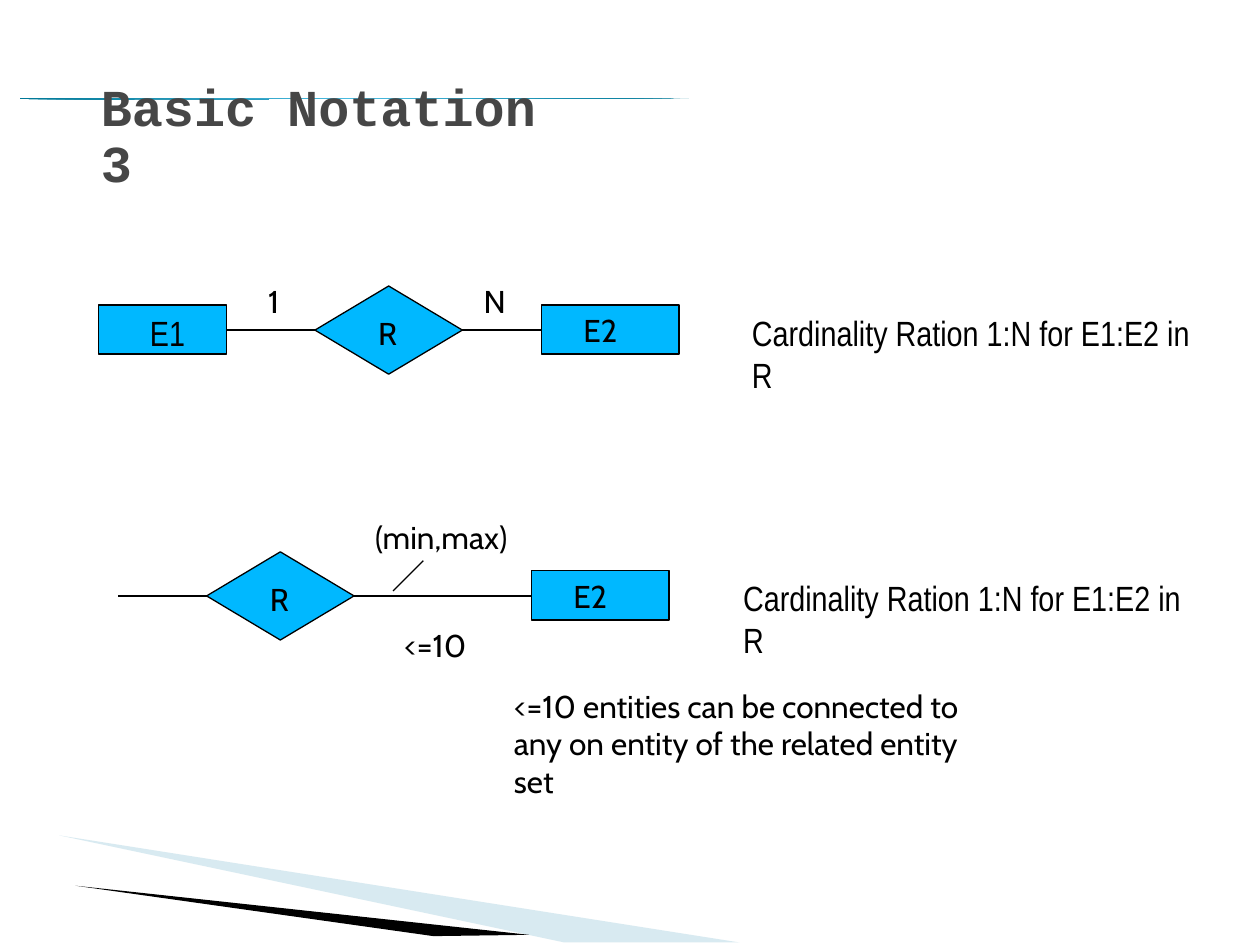
from copy import deepcopy

from lxml import etree
from pptx import Presentation
from pptx import util as u
from pptx.dml.color import RGBColor
from pptx.enum import shapes, text
from pptx.oxml import ns

BLACK = "000000"


def color(value):
    """Turn a hex string into a colour."""
    return RGBColor.from_string(value)


def write(shape, content, font="Cabin", size=18, fill=BLACK, bold=False, wrap=True,
          left=0.1, right=0.1, anchor=text.MSO_ANCHOR.TOP,
          fit=text.MSO_AUTO_SIZE.NONE, line_spacing=None):
    """Put one formatted paragraph into a shape."""
    frame = shape.text_frame
    frame.word_wrap = wrap
    frame.auto_size = fit
    frame.vertical_anchor = anchor
    frame.margin_left, frame.margin_right = u.Inches(left), u.Inches(right)
    frame.margin_top = frame.margin_bottom = u.Inches(0.05)
    paragraph = frame.paragraphs[0]
    paragraph.alignment = text.PP_ALIGN.LEFT
    paragraph.line_spacing = line_spacing
    run = paragraph.add_run()
    run.text = content
    run.font.name, run.font.size, run.font.bold = font, u.Pt(size), bold
    run.font.color.rgb = color(fill)


class NotationSlide:
    """Hold the diagram style and draw its elements on one slide."""

    node_fill = "00B8FF"
    line_width = u.Pt(0.75)
    narrow = {"font": "Arial Narrow", "size": 20}

    def __init__(self, presentation):
        """Add a title-only slide."""
        self.slide = presentation.slides.add_slide(presentation.slide_layouts[5])
        self.shapes = self.slide.shapes

    def title(self, content, left, top, width, height):
        """Place the title in front of everything drawn so far."""
        shape = self.shapes.title
        shape.left, shape.top = u.Inches(left), u.Inches(top)
        shape.width, shape.height = u.Inches(width), u.Inches(height)
        shape.element.getparent().append(shape.element)
        write(shape, content, font="Courier New", size=29.6, fill="464646", bold=True,
              anchor=text.MSO_ANCHOR.MIDDLE, line_spacing=0.9)

    def wedge(self, points, fill, opacity=100):
        """Draw a filled outline through the points."""
        corners = [(u.Inches(x), u.Inches(y)) for x, y in points]
        builder = self.shapes.build_freeform(*corners[0])
        builder.add_line_segments(corners[1:])
        shape = builder.convert_to_shape()
        shape.shadow.inherit = False
        shape.line.fill.background()
        shape.fill.solid()
        shape.fill.fore_color.rgb = color(fill)
        if opacity < 100:
            rgb = next(shape.element.iter(ns.qn("a:srgbClr")))
            etree.SubElement(rgb, ns.qn("a:alpha"), val=str(opacity * 1000))

    def rule(self, left, top, width, edge, middle):
        """Draw a thin tapering rule with a three-stop gradient."""
        shape = self.shapes.add_shape(
            shapes.MSO_SHAPE.RIGHT_TRIANGLE,
            u.Inches(left), u.Inches(top), u.Inches(width), u.Inches(0.01))
        shape.shadow.inherit = False
        shape.line.fill.background()
        shape.element.spPr.find(ns.qn("a:xfrm")).set("flipV", "1")
        shape.fill.gradient()
        shape.fill.gradient_angle = 310
        first, last = shape.fill.gradient_stops
        for stop, position in ((first, 0), (last, 1)):
            stop.color.rgb = color(edge)
            stop.position = position
        stops = next(shape.element.iter(ns.qn("a:gsLst")))
        stops.insert(1, deepcopy(stops[0]))
        center = shape.fill.gradient_stops[1]
        center.color.rgb = color(middle)
        center.position = 0.5

    def node(self, kind, content, left, top, width, height, inset, **style):
        """Draw a labelled diagram node."""
        shape = self.shapes.add_shape(
            kind, u.Inches(left), u.Inches(top), u.Inches(width), u.Inches(height))
        shape.shadow.inherit = False
        shape.fill.solid()
        shape.fill.fore_color.rgb = color(self.node_fill)
        shape.line.color.rgb = color(BLACK)
        shape.line.width = self.line_width
        write(shape, content, left=inset, right=0, **style)

    def entity(self, content, left, top, width=1.09, inset=0.33, **style):
        """Draw an entity rectangle."""
        self.node(shapes.MSO_SHAPE.RECTANGLE, content, left, top, width, 0.39, inset, **style)

    def relation(self, content, left, top):
        """Draw a relationship diamond."""
        self.node(shapes.MSO_SHAPE.DIAMOND, content, left, top, 1.17, 0.7, 0.21)

    def line(self, x1, y1, x2, y2):
        """Draw a straight line."""
        connector = self.shapes.add_connector(
            shapes.MSO_CONNECTOR.STRAIGHT,
            u.Inches(x1), u.Inches(y1), u.Inches(x2), u.Inches(y2))
        connector.line.color.rgb = color(BLACK)
        connector.line.width = self.line_width
        etree.SubElement(connector.element.spPr, ns.qn("a:effectLst"))

    def label(self, content, left, top, width, height=0.4, wrap=False, **style):
        """Place a text label."""
        shape = self.shapes.add_textbox(
            u.Inches(left), u.Inches(top), u.Inches(width), u.Inches(height))
        write(shape, content, wrap=wrap, fit=text.MSO_AUTO_SIZE.SHAPE_TO_FIT_TEXT, **style)


def main():
    """Build and save the notation slide."""
    presentation = Presentation()
    presentation.slide_width, presentation.slide_height = u.Inches(10), u.Inches(7.5)
    page = NotationSlide(presentation)

    page.wedge([(0.47, 6.63), (5.87, 7.48), (4.48, 7.48)], "9FCBDC", opacity=40)
    page.wedge([(0.6, 7.03), (4.2, 7.42), (3.44, 7.43)], BLACK)
    page.rule(0.16, 0.78, 5.31, "007897", "4ABBE0")
    page.title("Basic Notation 3", 0.7, 0.7, 3.83, 0.79)

    page.entity("E1", 0.78, 2.42, width=1.02, inset=0.41, **page.narrow)
    for relation_left, entity_left, note_left, top in (
            (2.5, 4.3, 5.87, 2.27), (1.64, 4.22, 5.8, 4.38)):
        middle = top + 0.35
        page.entity("E2", entity_left, top + 0.15)
        page.relation("R", relation_left, top)
        page.line(relation_left - 0.7, middle, relation_left, middle)
        page.line(relation_left + 1.17, middle, entity_left, middle)
        page.label("Cardinality Ration 1:N for E1:E2 in R",
                   note_left, top + 0.15, 3.9, 0.44, **page.narrow)

    page.line(3.36, 4.45, 3.12, 4.69)
    for content, left, top, width in (
            ("1", 2.03, 2.19, 0.34), ("N", 3.74, 2.19, 0.39),
            ("(min,max)", 2.88, 4.06, 1.37), ("<=10", 3.11, 4.92, 0.77)):
        page.label(content, left, top, width)
    page.label("<=10 entities can be connected to any on entity of the related entity set",
               3.98, 5.4, 3.78, 1, wrap=True)

    presentation.save("out.pptx")


if __name__ == "__main__":
    main()
